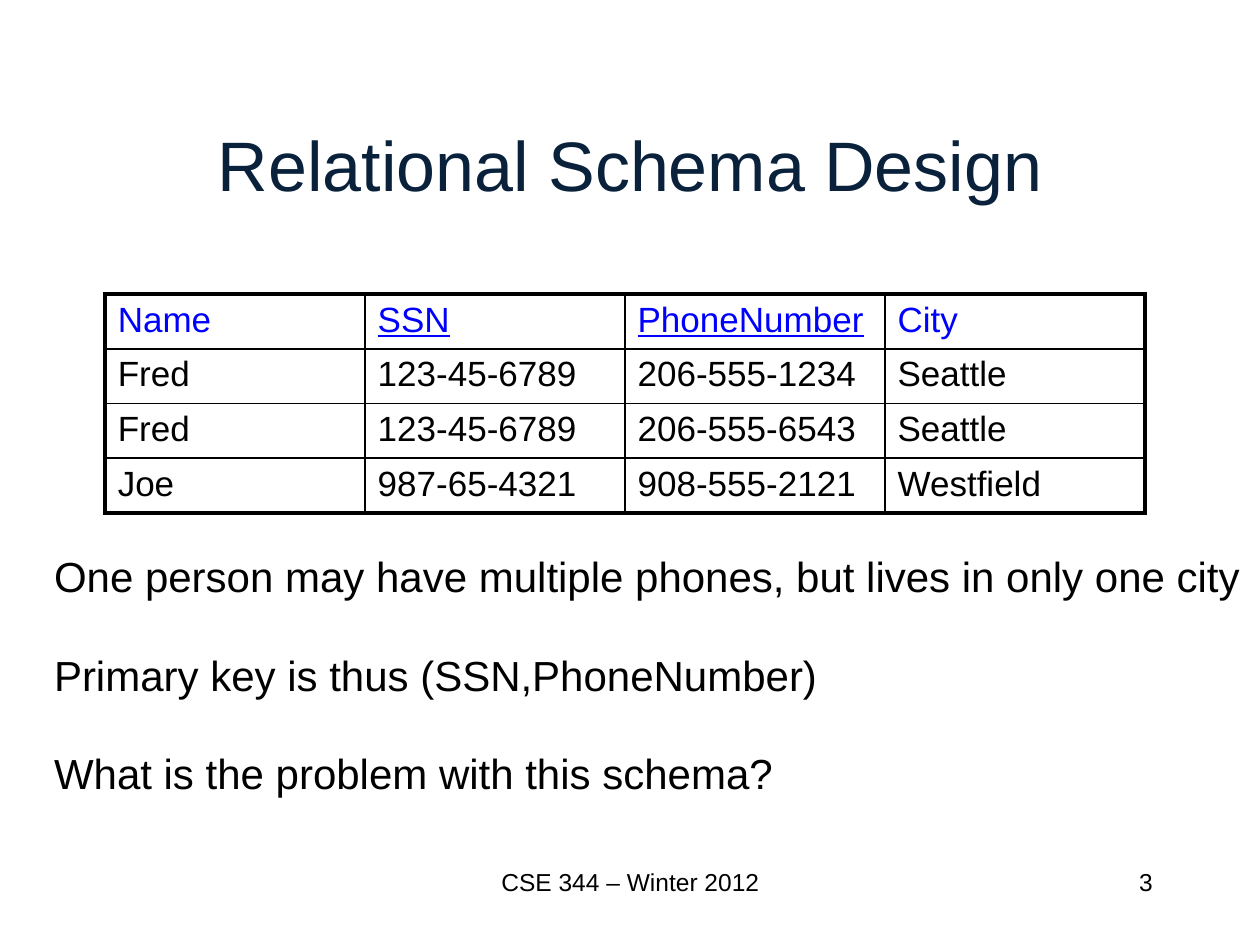
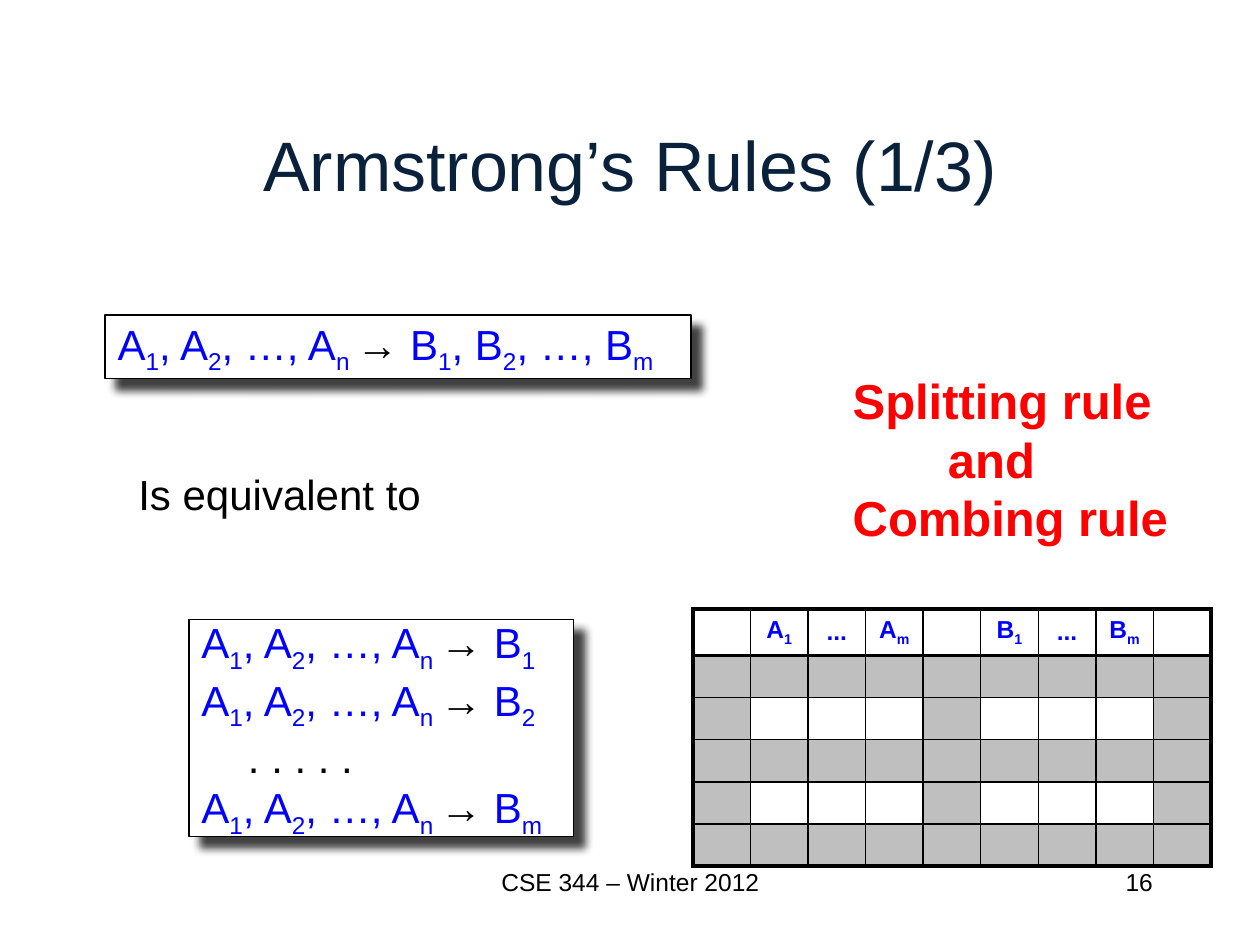
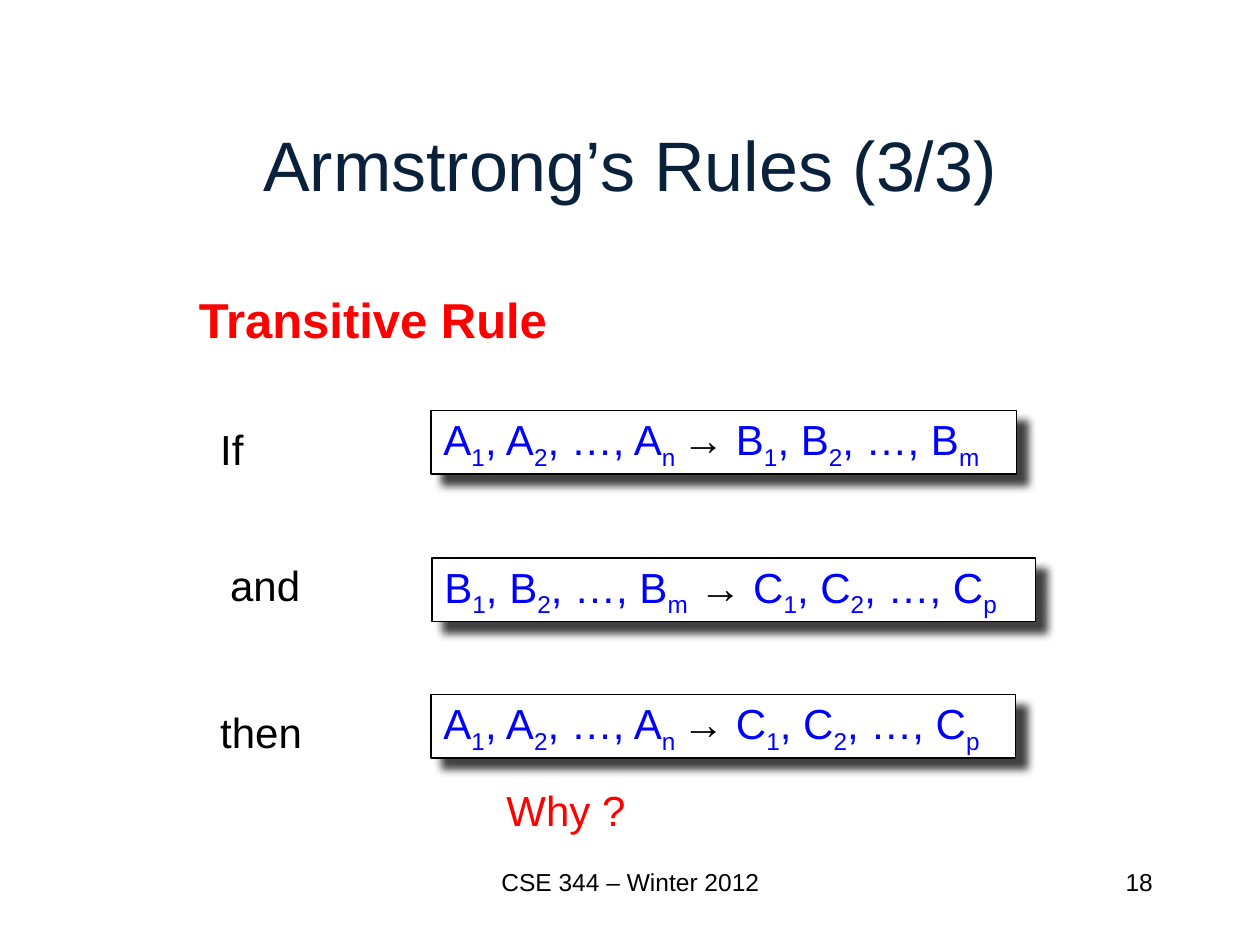
"""Build three course slides on relational schema design and Armstrong's rules."""
from lxml.etree import SubElement as Sub
from pptx import Presentation
from pptx.dml.color import RGBColor as Rgb
from pptx.enum.shapes import MSO_SHAPE as Kind
from pptx.enum.text import MSO_ANCHOR as Anchor, PP_ALIGN as Align
from pptx.oxml.ns import qn
from pptx.util import Cm, Pt

HUES = {"ink": "000000", "navy": "09213B", "blue": "0000FF",
        "red": "FF0000", "gray": "BFBFBF", "white": "FFFFFF"}
FONT = "Arial"
FOOT = "CSE 344 – Winter 2012"
THIN, THICK = Pt(1), Pt(2.25)


def hue(name):
    return Rgb.from_string(HUES[name])


def series(letter, last):
    return f"{letter}~1~, {letter}~2~, …, {letter}~{last}~"


def indent(para, left):
    para._p.get_or_add_pPr().set("marL", str(Cm(left)))


class Deck:
    def __init__(self):
        self.show = Presentation()
        self.show.slide_width, self.show.slide_height = Cm(25.4), Cm(19.05)

    def page(self, title, number):
        self.slide = self.show.slides.add_slide(self.show.slide_layouts[5])
        head = self.slide.shapes.title
        head.left, head.top, head.width, head.height = map(Cm, (1.9, 1.7, 21.6, 3.18))
        head.text_frame.vertical_anchor = Anchor.MIDDLE
        self.put(head.text_frame, [title], 40, "navy", align=Align.CENTER)
        self.text((8.05, 17.35, 9.32, 1.27), [FOOT], 14, align=Align.CENTER)
        self.text((18.21, 17.35, 5.28, 1.27), [str(number)], 14, align=Align.RIGHT)

    def style(self, run, size, tint, bold=False):
        font = run.font
        font.name, font.size, font.bold = FONT, Pt(size), bold
        font.color.rgb = hue(tint)

    def put(self, frame, lines, size, tint, bold=False, align=Align.LEFT, gap=0):
        """Fill a frame; text between tildes is subscript and arrows are black."""
        frame.text = "\n".join([""] * len(lines))
        for row, (para, line) in enumerate(zip(frame.paragraphs, lines)):
            para.alignment = align
            para.space_before = Pt(gap if row else 0)
            for spot, chunk in enumerate(line.split("~")):
                for part in filter(None, chunk.partition("→")):
                    run = para.add_run()
                    run.text = part
                    self.style(run, size, "ink" if part == "→" else tint, bold)
                    if spot % 2:
                        run._r.get_or_add_rPr().set("baseline", "-25000")

    def text(self, box, lines, size=24, tint="ink", **more):
        frame = self.slide.shapes.add_textbox(*map(Cm, box)).text_frame
        frame.word_wrap = "align" in more
        self.put(frame, lines, size, tint, **more)
        return frame

    def card(self, box, lines):
        rect = self.slide.shapes.add_shape(Kind.RECTANGLE, *map(Cm, box))
        rect.fill.solid()
        rect.fill.fore_color.rgb = hue("white")
        rect.line.color.rgb = hue("ink")
        rect.line.width = Pt(0.75)
        rect.shadow.inherit = False
        glow = Sub(rect._element.spPr.find(qn("a:effectLst")), qn("a:outerShdw"),
                   blurRad=str(Pt(5)), dist=str(Pt(8.5)), dir="2700000",
                   algn="ctr", rotWithShape="0")
        shade = Sub(glow, qn("a:srgbClr"), val=HUES["ink"])
        Sub(shade, qn("a:alpha"), val="75000")
        frame = rect.text_frame
        frame.word_wrap = True
        frame.vertical_anchor = Anchor.MIDDLE
        self.put(frame, lines, 24, "blue")
        return frame

    def edge(self, cell, widths):
        props = cell._tc.get_or_add_tcPr()
        for side, width in zip("LRTB", widths):
            line = Sub(props, qn(f"a:ln{side}"), w=str(width))
            Sub(Sub(line, qn("a:solidFill")), qn("a:srgbClr"), val=HUES["ink"])

    def grid(self, left, top, wide, highs, cols, heavy=()):
        """Add a table with a thick frame and thick lines above the heavy rows."""
        rows = len(highs)
        table = self.slide.shapes.add_table(
            rows, cols, *map(Cm, (left, top, wide * cols, sum(highs)))).table
        table.first_row = table.horz_banding = False
        for col in table.columns:
            col.width = Cm(wide)
        thick_rows, thick_cols = {0, rows, *heavy}, {0, cols}
        for r, high in enumerate(highs):
            table.rows[r].height = Cm(high)
            for c in range(cols):
                cell = table.cell(r, c)
                bold = (c in thick_cols, c + 1 in thick_cols,
                        r in thick_rows, r + 1 in thick_rows)
                self.edge(cell, [THICK if b else THIN for b in bold])
                cell.fill.background()
        return table

    def schema(self):
        self.page("Relational Schema Design", 3)
        data = [("Name", "SSN", "PhoneNumber", "City"),
                ("Fred", "123-45-6789", "206-555-1234", "Seattle"),
                ("Fred", "123-45-6789", "206-555-6543", "Seattle"),
                ("Joe", "987-65-4321", "908-555-2121", "Westfield")]
        table = self.grid(2.12, 5.93, 5.24, [1.06] * 4, 4)
        for r, row in enumerate(data):
            for c, word in enumerate(row):
                frame = table.cell(r, c).text_frame
                self.put(frame, [word], 20, "ink" if r else "blue")
                if word in ("SSN", "PhoneNumber"):
                    frame.paragraphs[0].runs[0].font.underline = True
        self.text((0.84, 10.97, 24.5, 5.38), [
            "One person may have multiple phones, but lives in only one city",
            "Primary key is thus (SSN,PhoneNumber)",
            "What is the problem with this schema?"], gap=27.6)

    def split(self):
        self.page("Armstrong’s Rules (1/3)", 16)
        left = series("A", "n ")
        self.text((2.54, 9.32, 6.27, 1.27), ["Is equivalent to"])
        rule = self.text((16.94, 7.34, 6.93, 3.84),
                         ["Splitting rule", "and", "Combing rule"],
                         28, "red", bold=True)
        indent(rule.paragraphs[1], 1.92)
        self.sketch()
        self.card((2.12, 6.35, 11.81, 1.28), [f"{left}→ {series('B', 'm')}"])
        laws = [f"{left}→ B~{end}~" for end in "12m"]
        frame = self.card((3.81, 12.49, 7.75, 4.37), laws[:2] + [". . . . ."] + laws[2:])
        dots = frame.paragraphs[2]
        indent(dots, 0.94)
        self.style(dots.runs[0], 24, "ink")

    def sketch(self):
        heads = ["", "A~1~", "...", "A~m~", "", "B~1~", "...", "B~m~", ""]
        table = self.grid(13.97, 12.28, 1.16, [0.93] + [0.85] * 5, len(heads), heavy=[1])
        for r in range(6):
            for c, head in enumerate(heads):
                cell = table.cell(r, c)
                cell.fill.solid()
                clear = r == 0 or (r in (2, 4) and head)
                cell.fill.fore_color.rgb = hue("white" if clear else "gray")
                if r == 0 and head:
                    cell.vertical_anchor = Anchor.MIDDLE
                    self.put(cell.text_frame, [head], 14, "blue", True, Align.CENTER)
                else:
                    para = cell.text_frame.paragraphs[0]
                    Sub(para._p, qn("a:endParaRPr"), sz="1400")

    def chain(self):
        self.page("Armstrong’s Rules (3/3)", 18)
        a, b, c = series("A", "n "), series("B", "m"), series("C", "p")
        self.text((3.76, 5.72, 7.62, 1.45), ["Transitive Rule"], 28, "red", bold=True)
        for word, x, y, wide in (("If", 4.19, 8.41, 1.07), ("and", 4.39, 11.15, 1.93),
                                 ("then", 4.19, 14.12, 2.18)):
            self.text((x, y, wide, 1.27), [word])
        self.text((9.96, 15.7, 2.95, 1.27), ["Why ?"], tint="red")
        for law, x, y, wide in ((f"{a}→ {b}", 8.69, 8.28, 11.81),
                                (f"{b} → {c}", 8.71, 11.25, 12.17),
                                (f"{a}→ {c}", 8.69, 14, 11.79)):
            self.card((x, y, wide, 1.28), [law])


def main():
    deck = Deck()
    deck.schema()
    deck.split()
    deck.chain()
    deck.show.save("out.pptx")


if __name__ == "__main__":
    main()
